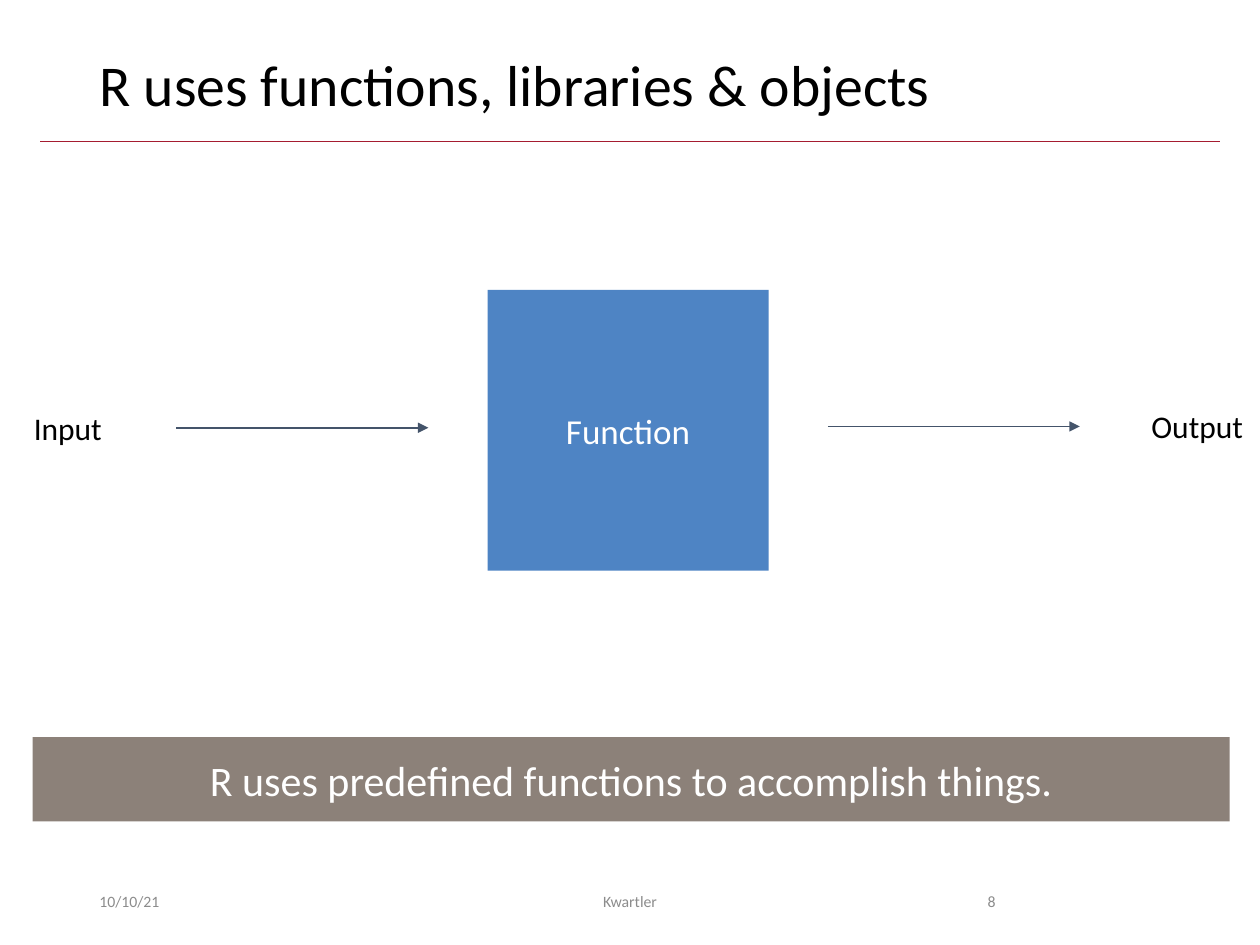
from lxml.etree import SubElement
from pptx import Presentation
from pptx.dml.color import RGBColor
from pptx.enum.shapes import MSO_CONNECTOR as Connector, MSO_SHAPE as Shape
from pptx.enum.text import MSO_ANCHOR as Anchor, MSO_AUTO_SIZE as AutoSize, PP_ALIGN as Align
from pptx.oxml.ns import qn
from pptx.util import Inches, Pt

WIDTH, HEIGHT = 10, 7.5
FONT = "Calibri"
COLORS = {
    "text": "000000",
    "light": "FFFFFF",
    "footer": "8C8C8C",
    "rule": "A51C30",
    "banner": "8C8179",
    "function": "4E84C4",
    "arrow": "44546A",
}


def color(name):
    return RGBColor.from_string(COLORS[name])


def write(shape, text, size, color_name, align=Align.LEFT, anchor=Anchor.TOP):
    frame = shape.text_frame
    frame.text = text
    frame.vertical_anchor = anchor
    paragraph = frame.paragraphs[0]
    paragraph.alignment = align
    font = paragraph.runs[0].font
    font.name, font.size = FONT, Pt(size)
    font.color.rgb = color(color_name)
    return paragraph


def add_text(slide, box, text, size, color_name, wrap=True, **layout):
    shape = slide.shapes.add_textbox(*map(Inches, box))
    shape.text_frame.word_wrap = wrap
    if not wrap:
        shape.text_frame.auto_size = AutoSize.SHAPE_TO_FIT_TEXT
    return write(shape, text, size, color_name, **layout)


def add_block(slide, box, text, size, fill):
    shape = slide.shapes.add_shape(Shape.RECTANGLE, *map(Inches, box))
    shape.shadow.inherit = False
    shape.fill.solid()
    shape.fill.fore_color.rgb = color(fill)
    shape.line.fill.background()
    write(shape, text, size, "light", align=Align.CENTER, anchor=Anchor.MIDDLE)


def add_line(slide, left, right, y, color_name, weight, arrow=False):
    line = slide.shapes.add_connector(
        Connector.STRAIGHT, Inches(left), Inches(y), Inches(right), Inches(y))
    line.line.color.rgb = color(color_name)
    line.line.width = Pt(weight)
    if arrow:
        SubElement(line.line._get_or_add_ln(), qn("a:tailEnd"), type="triangle")
    SubElement(line._element.spPr, qn("a:effectLst"))


def add_header(slide, box, title):
    left, top, width, height = box
    margin = 0.32
    add_line(slide, margin, WIDTH - margin, top + height + 0.07, "rule", 0.5)
    paragraph = add_text(slide, box, title, 33, "text")
    paragraph.line_spacing = 0.9


def add_flow(slide, box):
    left, top, width, height = box
    middle = top + height / 2
    side, arrow_length = height, 2
    label_height = 0.4

    # Function square
    square_left = left + 3.7
    add_block(slide, (square_left, top, side, side), "Function", 20, "function")

    # Labels at both ends, each with its arrow; the right half sits slightly higher
    for text, label_left, label_width, arrow_left, y in (
        ("Input", left, 0.76, square_left - 0.47 - arrow_length, middle - 0.02),
        ("Output", left + width - 0.96, 0.96, square_left + side + 0.47, middle - 0.03),
    ):
        add_line(slide, arrow_left, arrow_left + arrow_length, y, "arrow", 1, arrow=True)
        add_text(slide, (label_left, y - label_height / 2, label_width, label_height),
                 text, 18, "text", wrap=False)


def add_footer(slide, box):
    left, top, width, height = box
    for text, offset, share, align in (
        ("10/10/21", 0, 0.26, Align.LEFT),
        ("Kwartler", 0.304, 0.392, Align.CENTER),
        ("8", 0.739, 0.109, Align.RIGHT),
    ):
        add_text(slide, (left + offset * width, top, share * width, height),
                 text, 9, "footer", align=align, anchor=Anchor.MIDDLE)


def main():
    presentation = Presentation()
    presentation.slide_width, presentation.slide_height = Inches(WIDTH), Inches(HEIGHT)
    slide = presentation.slides.add_slide(presentation.slide_layouts[6])

    content_left = 0.69
    content_width = WIDTH - 2 * content_left
    add_header(slide, (content_left, 0.4, content_width, 0.65),
               "R uses functions, libraries & objects")
    add_footer(slide, (content_left, 6.95, content_width, 0.4))
    add_block(slide, (0.26, 5.85, 9.5, 0.67),
              "R uses predefined functions to accomplish things.", 24, "banner")
    add_flow(slide, (0.17, 2.3, WIDTH - 0.17, 2.23))

    presentation.save("out.pptx")


if __name__ == "__main__":
    main()
